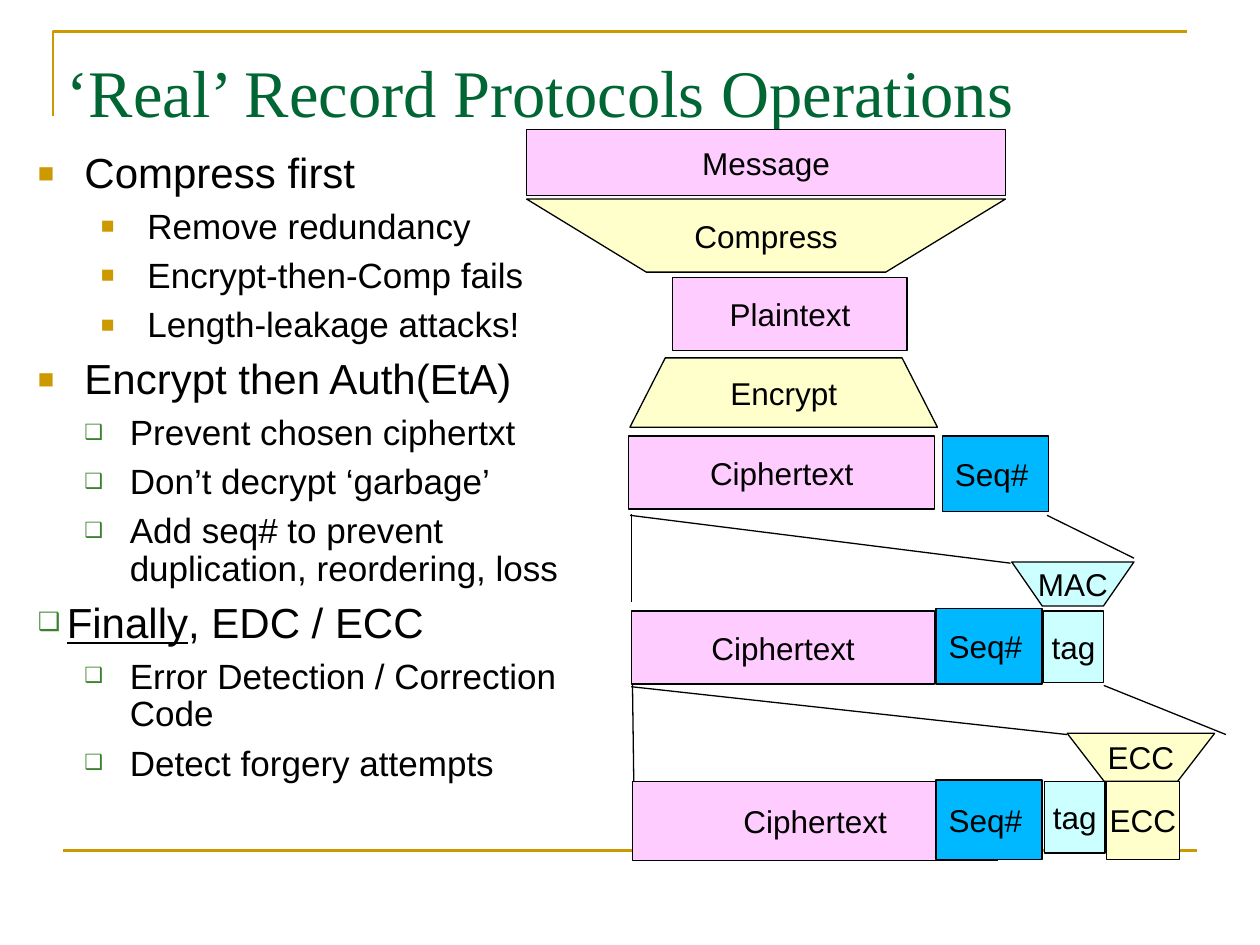
from copy import deepcopy
from dataclasses import dataclass

from lxml import etree
from pptx import Presentation
from pptx.dml.color import RGBColor
from pptx.enum.shapes import MSO_CONNECTOR, MSO_SHAPE
from pptx.enum.text import MSO_ANCHOR, MSO_AUTO_SIZE, PP_ALIGN
from pptx.oxml.ns import qn
from pptx.util import Inches, Pt

RECT = MSO_SHAPE.RECTANGLE
STRAIGHT = MSO_CONNECTOR.STRAIGHT
MIDDLE, TOP = MSO_ANCHOR.MIDDLE, MSO_ANCHOR.TOP
LEFT, CENTER = PP_ALIGN.LEFT, PP_ALIGN.CENTER
NO_FIT = MSO_AUTO_SIZE.NONE
COLS, ROWS = 100, 75


@dataclass(frozen=True)
class Theme:
    gold: str = "CC9900"
    title: str = "006633"
    bullet: str = "3B812F"
    ink: str = "000000"
    data: str = "FFCCFF"
    step: str = "FFFFCC"
    mac: str = "CCFFFF"
    seq: str = "00B8FF"
    head_font: str = "Times New Roman"
    font: str = "Arial"
    title_size: float = 38
    item_size: float = 24
    sub_size: float = 20
    label_size: float = 18
    rule: float = 1.5
    edge: float = 0.75


def apply(obj, **values):
    for name, value in values.items():
        setattr(obj, name, value)


class Deck:
    def __init__(self, theme):
        self.theme = theme
        self.prs = Presentation()
        apply(self.prs, slide_width=Inches(10), slide_height=Inches(7.5))
        self.s = self.prs.slides.add_slide(self.prs.slide_layouts[1])

    def x(self, col):
        return round(self.prs.slide_width * col / COLS)

    def y(self, row):
        return round(self.prs.slide_height * row / ROWS)

    def box(self, x, y, w, h):
        return self.x(x), self.y(y), self.x(w), self.y(h)

    def place(self, sp, box, anchor):
        apply(sp, **dict(zip(("left", "top", "width", "height"), self.box(*box))))
        apply(sp.text_frame, auto_size=NO_FIT, vertical_anchor=anchor, word_wrap=True)
        return sp.text_frame

    def font(self, r, size, color=None, name=None, **extra):
        apply(r.font, size=Pt(size), name=name or self.theme.font, **extra)
        r.font.color.rgb = RGBColor.from_string(color or self.theme.ink)

    def title(self, text, box):
        p = self.place(self.s.shapes.title, box, MIDDLE).paragraphs[0]
        p.text, p.alignment = text, LEFT
        self.font(p.runs[0], self.theme.title_size, self.theme.title, self.theme.head_font)

    def bullet(self, p, margin, indent, char, color, share):
        pPr = p._p.get_or_add_pPr()
        pPr.set("marL", str(Inches(margin)))
        pPr.set("indent", str(Inches(indent)))
        clr = etree.SubElement(pPr, qn("a:buClr"))
        etree.SubElement(clr, qn("a:srgbClr"), val=color)
        etree.SubElement(pPr, qn("a:buSzPct"), val=str(share * 1000))
        etree.SubElement(pPr, qn("a:buChar"), char=char)

    def body(self, items, box):
        tf = self.place(self.s.placeholders[1], box, TOP)
        for i, (level, style, text, underlined) in enumerate(items):
            p = tf.paragraphs[0] if i == 0 else tf.add_paragraph()
            p.text = underlined or text
            if underlined:
                p.add_run().text = text
            size = self.theme.sub_size if level else self.theme.item_size
            apply(p, level=level, alignment=LEFT, line_spacing=0.9,
                  space_before=Pt(6.5 if level else 7.5), space_after=Pt(0))
            self.bullet(p, *style)
            for r in p.runs:
                self.font(r, size, underline=r.text == underlined)
            for br in p._p.findall(qn("a:br")):
                br.append(deepcopy(p.runs[0]._r.rPr))

    def paint(self, sp, line, width, fill=None):
        sp.shadow.inherit = False
        sp.line.color.rgb = RGBColor.from_string(line)
        sp.line.width = Pt(width)
        if fill:
            sp.fill.solid()
            sp.fill.fore_color.rgb = RGBColor.from_string(fill)
        else:
            sp.fill.background()

    def label(self, sp, text, align, wrap):
        tf = sp.text_frame
        apply(tf, word_wrap=wrap, vertical_anchor=MIDDLE)
        p = tf.paragraphs[0]
        p.text, p.alignment = text, align
        self.font(p.runs[0], self.theme.label_size)

    def rect(self, text, fill, box, align=CENTER, wrap=False):
        sp = self.s.shapes.add_shape(RECT, *self.box(*box))
        self.paint(sp, self.theme.ink, self.theme.edge, fill)
        self.label(sp, text, align, wrap)

    def outline(self, points, close):
        pts = [(self.x(x), self.y(y)) for x, y in points]
        fb = self.s.shapes.build_freeform(*pts[0])
        fb.add_line_segments(pts[1:], close=close)
        return fb.convert_to_shape()

    def trapezoid(self, text, fill, box, top=0, bottom=0):
        x, y, w, h = box
        t, b = w * top, w * bottom
        sp = self.outline([(x + t, y), (x + b, y + h),
                           (x + w - b, y + h), (x + w - t, y)], True)
        self.paint(sp, self.theme.ink, self.theme.edge, fill)
        self.label(sp, text, CENTER, False)

    def corner(self, points):
        self.paint(self.outline(points, False), self.theme.gold, self.theme.rule)

    def line(self, x1, y1, x2, y2, color=None, width=None):
        c = self.s.shapes.add_connector(STRAIGHT, self.x(x1), self.y(y1), self.x(x2), self.y(y2))
        c.line.color.rgb = RGBColor.from_string(color or self.theme.ink)
        c.line.width = Pt(width or self.theme.edge)
        etree.SubElement(c._element.spPr, qn("a:effectLst"))


def main():
    t = Theme()
    d = Deck(t)
    d.corner([(4.2, 9.2), (4.2, 2.5), (94.2, 2.5)])
    d.line(5, 67.5, 95, 67.5, t.gold, t.rule)
    d.title("‘Real’ Record Protocols Operations", (4.3, 3, 90.7, 8.5))

    main_item = (0.37, -0.37, "■", t.gold, 65)
    sub_item = (0.87, -0.37, "■", t.gold, 65)
    open_item = (0.23, -0.36, "❑", t.bullet, 60)
    open_sub = (0.73, -0.36, "❑", t.bullet, 60)
    d.body([
        (0, main_item, "Compress first", None),
        (1, sub_item, "Remove redundancy", None),
        (1, sub_item, "Encrypt-then-Comp fails", None),
        (1, sub_item, "Length-leakage attacks!", None),
        (0, main_item, "Encrypt then Auth(EtA)", None),
        (1, open_sub, "Prevent chosen ciphertxt", None),
        (1, open_sub, "Don’t decrypt ‘garbage’", None),
        (1, open_sub, "Add seq# to prevent \vduplication, reordering, loss", None),
        (0, open_item, ", EDC / ECC", "Finally"),
        (1, open_sub, "Error Detection / Correction Code", None),
        (1, open_sub, "Detect forgery attempts", None),
    ], (2, 11.6, 49.7, 54.5))

    d.rect("Message", t.data, (41.8, 10.3, 38, 5.2))
    d.trapezoid("Compress", t.step, (41.8, 15.8, 38, 5.8), bottom=0.25)
    d.rect("Plaintext", t.data, (53.4, 22, 18.6, 5.8))
    d.trapezoid("Encrypt", t.step, (50, 28.4, 24.4, 5.5), top=0.115)
    d.trapezoid("MAC", t.mac, (80.3, 44.6, 9.7, 3.5), bottom=0.25)
    d.trapezoid("ECC", t.step, (84.7, 58.2, 11.7, 3.8), bottom=0.25)

    for box in ((49.9, 34.6, 24.3, 5.8), (50.1, 48.5, 24.1, 5.8), (50.2, 62, 29, 6.3)):
        d.rect("Ciphertext", t.data, box)
    for ends in ((50, 40.9, 80.2, 44.7), (83.1, 40.9, 90, 44.3), (50.1, 40.8, 50.1, 47.8),
                 (50.1, 54.5, 84.7, 58.3), (87.6, 54.4, 97.3, 58.3), (50.2, 54.3, 50.3, 62)):
        d.line(*ends)
    d.rect("ECC", t.step, (87.8, 62, 5.8, 6.2))
    for x, y in ((82.8, 48.5), (82.9, 62)):
        d.rect("tag", t.mac, (x, y, 4.8, 5.7))
    for x, y, h in ((74.8, 34.6, 6), (74.3, 48.3, 6), (74.3, 61.9, 6.3)):
        d.rect("Seq#", t.seq, (x, y, 8.4, h), LEFT, True)

    d.prs.save("out.pptx")


if __name__ == "__main__":
    main()
